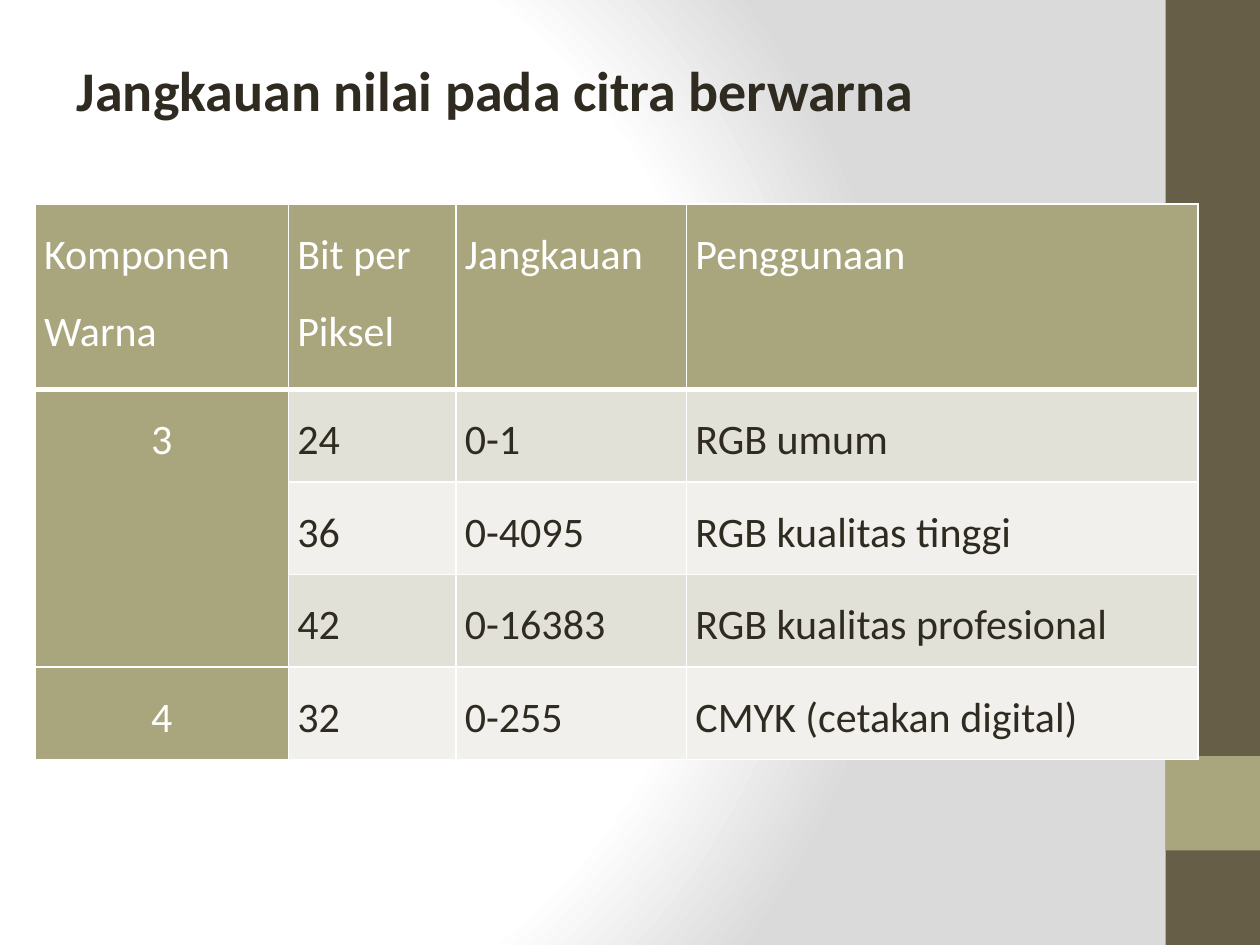
"""Build a slide with a table of value ranges for colour images."""
from dataclasses import dataclass

from pptx import Presentation
from pptx.dml.color import RGBColor
from pptx.enum.shapes import MSO_SHAPE
from pptx.enum.text import MSO_ANCHOR, PP_ALIGN
from pptx.oxml import parse_xml
from pptx.oxml.ns import nsdecls
from pptx.util import Inches, Pt

RECTANGLE = MSO_SHAPE.RECTANGLE
TOP = MSO_ANCHOR.TOP
LEFT, CENTER, JUSTIFY = PP_ALIGN.LEFT, PP_ALIGN.CENTER, PP_ALIGN.JUSTIFY


@dataclass(frozen=True)
class Theme:
    font: str = "Calibri"
    title_size: int = 32
    table_size: int = 24
    ink: str = "2F2B20"
    white: str = "FFFFFF"
    shade: str = "DADADA"
    brown: str = "675E47"
    olive: str = "A9A57C"
    odd_row: str = "E2E1D7"
    even_row: str = "F1F0EC"


def write(frame, text, size, color, bold=False, align=LEFT, spacing=1.0):
    frame.text = text
    frame.word_wrap = True
    paragraph = frame.paragraphs[0]
    paragraph.alignment = align
    paragraph.line_spacing = spacing
    paragraph.space_before = Pt(0)
    font = paragraph.runs[0].font
    font.name, font.size, font.bold = theme.font, Pt(size), bold
    font.color.rgb = RGBColor.from_string(color)


def add_border(cell, widths):
    properties = cell._tc.get_or_add_tcPr()
    for index, (side, width) in enumerate(zip("LRTB", widths)):
        properties.insert(index, parse_xml(
            f'<a:ln{side} {nsdecls("a")} w="{Pt(width)}"><a:solidFill>'
            f'<a:srgbClr val="{theme.white}"/></a:solidFill></a:ln{side}>'))


theme = Theme()
presentation = Presentation()
presentation.slide_width, presentation.slide_height = Inches(10), Inches(7.5)
slide_width, slide_height = presentation.slide_width, presentation.slide_height
slide = presentation.slides.add_slide(presentation.slide_layouts[5])

stops = "".join(
    f'<a:gs pos="{share * 1000}"><a:srgbClr val="{color}"/></a:gs>'
    for share, color in ((0, theme.white), (75, theme.white), (100, theme.shade)))
slide.element.cSld.insert(0, parse_xml(
    f'<p:bg {nsdecls("p", "a")}><p:bgPr><a:gradFill rotWithShape="1"><a:gsLst>{stops}</a:gsLst>'
    '<a:path path="circle"><a:fillToRect l="20000" t="50000" r="100000" b="50000"/></a:path>'
    '</a:gradFill><a:effectLst/></p:bgPr></p:bg>'))

band_width = int(slide_width * 0.075)
for top, height, color in ((0, 1, theme.brown), (0.8, 0.1, theme.olive)):
    band = slide.shapes.add_shape(
        RECTANGLE, slide_width - band_width, int(slide_height * top),
        band_width, int(slide_height * height))
    band.shadow.inherit = False
    band.fill.solid()
    band.fill.fore_color.rgb = RGBColor.from_string(color)
    band.line.fill.background()

title = slide.shapes.title
title.left, title.top = Inches(0.51), Inches(0.39)
title.width, title.height = Inches(9), Inches(0.79)
title.text_frame.vertical_anchor = TOP
write(title.text_frame, "Jangkauan nilai pada citra berwarna",
      size=theme.title_size, color=theme.ink, bold=True)
slide.shapes.element.append(title.element) if hasattr(slide.shapes, "element") else None

rows = (
    ("Komponen Warna", "Bit per Piksel", "Jangkauan", "Penggunaan"),
    ("3", "24", "0-1", "RGB umum"),
    ("", "36", "0-4095", "RGB kualitas tinggi"),
    ("", "42", "0-16383", "RGB kualitas profesional"),
    ("4", "32", "0-255", "CMYK (cetakan digital)"),
)
column_widths = (2.01, 1.33, 1.83, 4.06)
row_height = Inches(0.735)
table = slide.shapes.add_table(
    len(rows), len(column_widths), Inches(0.28), Inches(1.62),
    Inches(sum(column_widths)), row_height * (len(rows) + 1)).table
table.first_row = table.horz_banding = False
for column, width in zip(table.columns, column_widths):
    column.width = Inches(width)

for row_index, texts in enumerate(rows):
    is_header = row_index == 0
    table.rows[row_index].height = row_height * (2 if is_header else 1)
    for column_index, text in enumerate(texts):
        cell = table.cell(row_index, column_index)
        is_label = is_header or column_index == 0
        row_fill = theme.odd_row if row_index % 2 else theme.even_row
        cell.fill.solid()
        cell.fill.fore_color.rgb = RGBColor.from_string(theme.olive if is_label else row_fill)
        cell.margin_left = cell.margin_right = Inches(0.07)
        cell.margin_top = cell.margin_bottom = 0
        add_border(cell, (1, 1, 3 if row_index == 1 else 1, 3 if is_header else 1))
        if column_index == 0:
            align = JUSTIFY if is_header else CENTER
        else:
            align = JUSTIFY if column_index == 3 or text == "Jangkauan" else LEFT
        if text:
            write(cell.text_frame, text, size=theme.table_size, align=align, spacing=1.5,
                  color=theme.white if is_label else theme.ink)
table.cell(1, 0).merge(table.cell(3, 0))

presentation.save("out.pptx")
